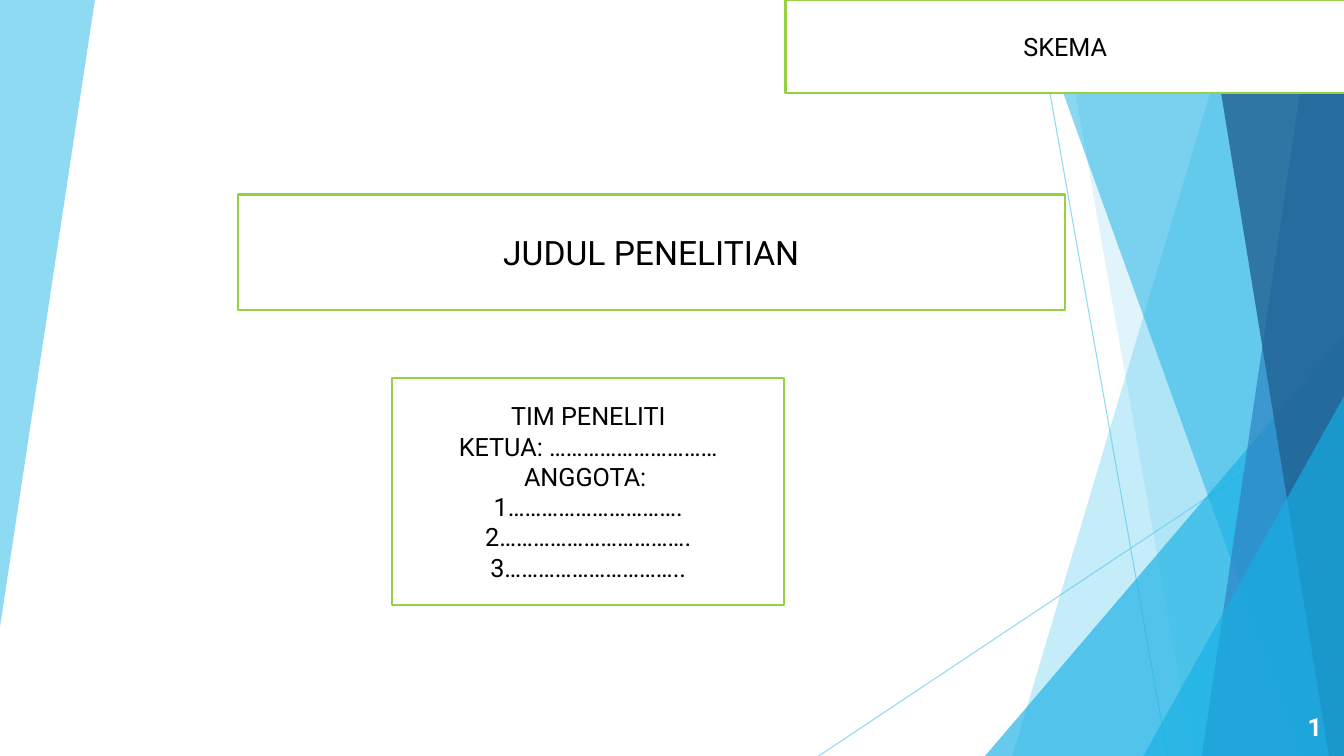
from dataclasses import dataclass

from lxml import etree
from pptx import Presentation
from pptx import util as u
from pptx.dml.color import RGBColor
from pptx.enum import shapes, text
from pptx.oxml import ns

SKY = RGBColor(0x5F, 0xCB, 0xEF)
CYAN = RGBColor(0x17, 0xB0, 0xE4)
BLUE = RGBColor(0x2E, 0x83, 0xC3)
NAVY = RGBColor(0x22, 0x62, 0x92)
GREEN = RGBColor(0x96, 0xD1, 0x41)
WHITE = RGBColor(0xFF, 0xFF, 0xFF)
BLACK = RGBColor(0x00, 0x00, 0x00)

WIDTH, HEIGHT, TOP = 13.33, 7.5, -0.01
FONT = "Roboto"


@dataclass
class Facet:
    points: list[tuple[float, float]]
    color: RGBColor
    opacity: int


@dataclass
class Corner:
    left: float
    top: float
    color: RGBColor
    opacity: int


@dataclass
class Ray:
    start: tuple[float, float]
    end: tuple[float, float]


@dataclass
class Panel:
    left: float
    top: float
    width: float
    height: float
    size: int
    lines: list[str]


def right_facet(top_left: float, bottom_left: float, color: RGBColor, opacity: int) -> Facet:
    points = [(top_left, TOP), (WIDTH, TOP), (WIDTH, HEIGHT), (bottom_left, HEIGHT)]
    return Facet(points, color, opacity)


BACKDROP = [
    Facet([(0, 0), (0.94, TOP), (0.94, 0.01), (0, 6.22)], SKY, 70),
    Ray((10.25, 0), (11.58, HEIGHT)),
    Ray((WIDTH, 4.03), (8.12, HEIGHT)),
    right_facet(12.28, 10.04, SKY, 36),
    right_facet(10.5, 11.83, SKY, 20),
    Corner(9.77, 3.33, CYAN, 66),
    right_facet(10.21, 12.91, CYAN, 50),
    right_facet(13.03, 11.92, BLUE, 70),
    right_facet(11.96, 13.18, NAVY, 80),
    Corner(11.34, 3.93, CYAN, 66),
]

PANELS = [
    Panel(7.79, 0, 5.55, 0.92, 18, ["SKEMA"]),
    Panel(2.36, 1.93, 8.2, 1.15, 24, ["JUDUL PENELITIAN"]),
    Panel(3.89, 3.75, 3.89, 2.25, 18, [
        "TIM PENELITI",
        "KETUA: …………………………",
        "ANGGOTA: ",
        "1………………………….",
        "2…………………………….",
        "3…………………………..",
    ]),
]


def set_opacity(shape, opacity: int) -> None:
    for color in shape._element.spPr.iter(ns.qn("a:srgbClr")):
        etree.SubElement(color, ns.qn("a:alpha"), val=str(opacity * 1000))


def fill_plain(shape, color: RGBColor, opacity: int) -> None:
    shape.shadow.inherit = False
    shape.fill.solid()
    shape.fill.fore_color.rgb = color
    shape.line.fill.background()
    set_opacity(shape, opacity)


def draw_facet(page, facet: Facet) -> None:
    first, *rest = [(u.Inches(x), u.Inches(y)) for x, y in facet.points]
    builder = page.shapes.build_freeform(*first)
    builder.add_line_segments(rest, close=True)
    fill_plain(builder.convert_to_shape(), facet.color, facet.opacity)


def draw_corner(page, corner: Corner) -> None:
    triangle = page.shapes.add_shape(
        shapes.MSO_SHAPE.ISOSCELES_TRIANGLE,
        u.Inches(corner.left), u.Inches(corner.top),
        u.Inches(WIDTH - corner.left), u.Inches(HEIGHT - corner.top))
    triangle.adjustments[0] = 1
    fill_plain(triangle, corner.color, corner.opacity)


def draw_ray(page, ray: Ray) -> None:
    line = page.shapes.add_connector(
        shapes.MSO_CONNECTOR.STRAIGHT,
        *(u.Inches(value) for value in ray.start + ray.end))
    line.line.color.rgb = SKY
    line.line.width = u.Pt(0.75)
    set_opacity(line, 70)
    etree.SubElement(line._element.spPr, ns.qn("a:effectLst"))


def write(para, words: str, *, size: int, color: RGBColor, bold: bool = False,
          align=text.PP_ALIGN.LEFT) -> None:
    para.alignment = align
    span = para.add_run()
    span.text = words
    span.font.name = FONT
    span.font.size = u.Pt(size)
    span.font.bold = bold
    span.font.color.rgb = color


def draw_panel(page, panel: Panel) -> None:
    box = page.shapes.add_shape(
        shapes.MSO_SHAPE.RECTANGLE, u.Inches(panel.left), u.Inches(panel.top),
        u.Inches(panel.width), u.Inches(panel.height))
    box.shadow.inherit = False
    box.fill.solid()
    box.fill.fore_color.rgb = WHITE
    box.line.color.rgb = GREEN
    box.line.width = u.Pt(1.5)
    frame = box.text_frame
    frame.word_wrap = True
    frame.vertical_anchor = text.MSO_ANCHOR.MIDDLE
    for index, words in enumerate(panel.lines):
        para = frame.add_paragraph() if index else frame.paragraphs[0]
        write(para, words, size=panel.size, color=BLACK, align=text.PP_ALIGN.CENTER)


def draw_page_number(page) -> None:
    box = page.shapes.add_textbox(
        u.Inches(12.87), u.Inches(7.01), u.Inches(0.35), u.Inches(0.4))
    box.text_frame.word_wrap = False
    box.text_frame.auto_size = text.MSO_AUTO_SIZE.SHAPE_TO_FIT_TEXT
    write(box.text_frame.paragraphs[0], "1", size=18, color=WHITE, bold=True)


def main() -> None:
    deck = Presentation()
    deck.slide_width = u.Inches(WIDTH)
    deck.slide_height = u.Inches(HEIGHT)
    page = deck.slides.add_slide(deck.slide_layouts[6])
    painters = {Facet: draw_facet, Corner: draw_corner, Ray: draw_ray}
    for item in BACKDROP:
        painters[type(item)](page, item)
    for panel in PANELS:
        draw_panel(page, panel)
    draw_page_number(page)
    deck.save("out.pptx")


if __name__ == "__main__":
    main()
